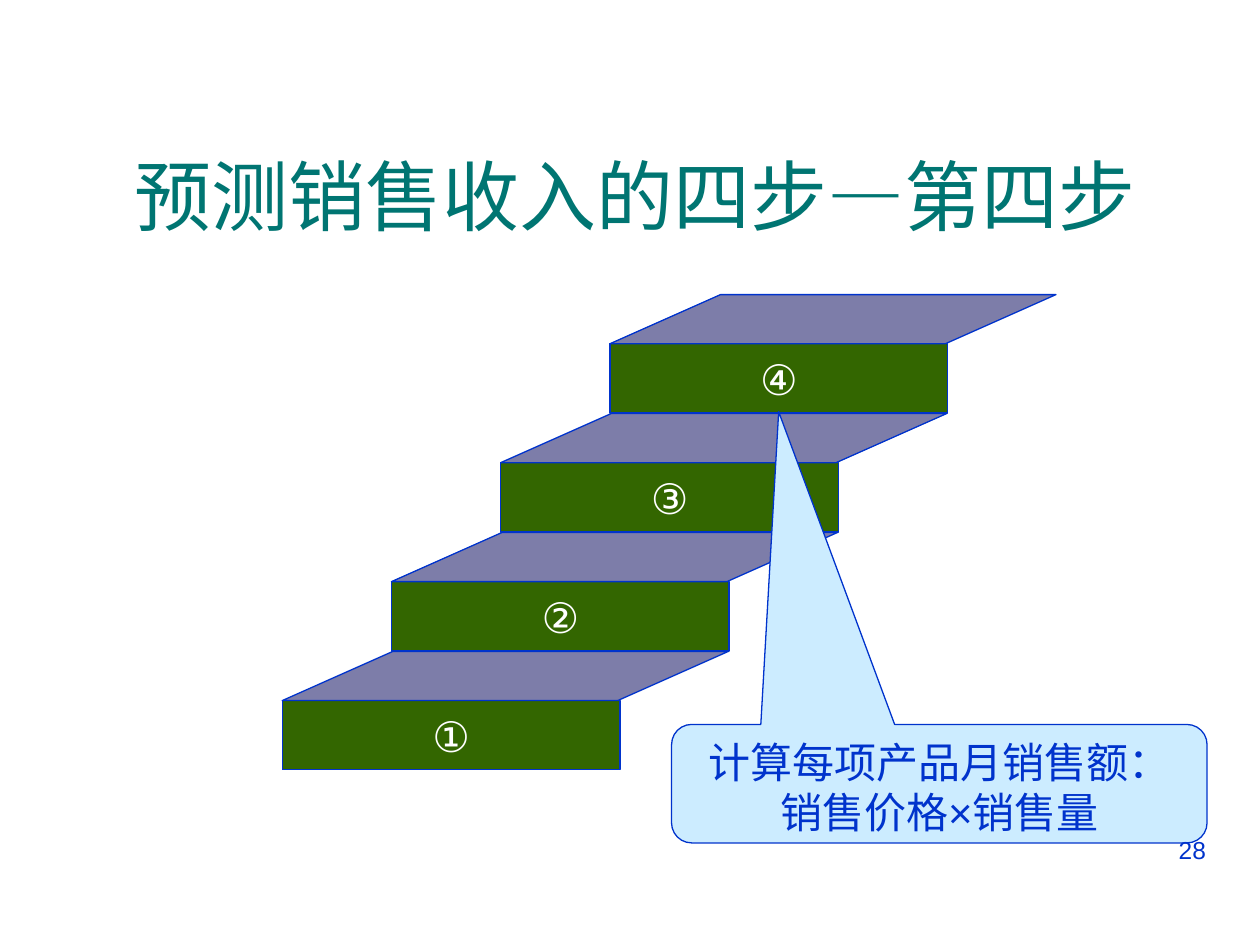
from pptx import Presentation
from pptx.dml.color import RGBColor
from pptx.enum.shapes import MSO_SHAPE
from pptx.enum.text import MSO_ANCHOR, PP_ALIGN
from pptx.util import Inches, Pt

TEAL = RGBColor(0x00, 0x75, 0x72)
BLUE = RGBColor(0x00, 0x33, 0xCC)
GREEN = RGBColor(0x33, 0x66, 0x00)
PURPLE = RGBColor(0x7D, 0x7D, 0xA9)
PALE_BLUE = RGBColor(0xCC, 0xEC, 0xFF)
WHITE = RGBColor(0xFF, 0xFF, 0xFF)

STEP_LABELS = ["①", "②", "③", "④"]
FIRST_LEFT, FIRST_TOP = 2.24, 5.56
STEP_RIGHT, STEP_UP = 0.867, 0.944
RISER_WIDTH, RISER_HEIGHT = 2.68, 0.55
TREAD_WIDTH, TREAD_HEIGHT = 3.54, 0.39


def write_lines(holder, lines, size, color, align=PP_ALIGN.CENTER,
                anchor=MSO_ANCHOR.TOP, wrap=True):
    frame = holder.text_frame
    frame_format = {"word_wrap": wrap, "vertical_anchor": anchor}
    for name, value in frame_format.items():
        setattr(frame, name, value)
    frame.text = "\n".join(lines)
    for paragraph in frame.paragraphs:
        paragraph.alignment = align
        for run in paragraph.runs:
            run.font.color.rgb = color
            for name, value in {"name": "Arial", "size": Pt(size)}.items():
                setattr(run.font, name, value)


def add_label(slide, box, text, size, color, **layout):
    label = slide.shapes.add_textbox(*map(Inches, box))
    write_lines(label, [text], size, color, **layout)


def add_outlined(slide, preset, box, fill, adjustments=()):
    outlined = slide.shapes.add_shape(preset, *map(Inches, box))
    outlined.shadow.inherit = False
    outlined.fill.solid()
    outlined.fill.fore_color.rgb = fill
    outlined.line.color.rgb = BLUE
    outlined.line.width = Pt(0.75)
    for index, value in enumerate(adjustments):
        outlined.adjustments[index] = value
    return outlined


def add_step(slide, level, label):
    left = FIRST_LEFT + level * STEP_RIGHT
    top = FIRST_TOP - level * STEP_UP
    riser = add_outlined(slide, MSO_SHAPE.RECTANGLE,
                         (left, top, RISER_WIDTH, RISER_HEIGHT), GREEN)
    write_lines(riser, [label], 24, WHITE, anchor=MSO_ANCHOR.MIDDLE, wrap=False)
    add_outlined(slide, MSO_SHAPE.PARALLELOGRAM,
                 (left, top - TREAD_HEIGHT, TREAD_WIDTH, TREAD_HEIGHT),
                 PURPLE, [2.25])


def add_callout(slide, box, lines):
    callout = add_outlined(slide, MSO_SHAPE.ROUNDED_RECTANGULAR_CALLOUT, box,
                           PALE_BLUE, [-0.3, -3.14, 0.17])
    write_lines(callout, lines, 24, BLUE)


def main():
    deck = Presentation()
    deck.slide_width, deck.slide_height = Inches(10), Inches(7.5)
    slide = deck.slides.add_slide(deck.slide_layouts[6])
    add_label(slide, (0.67, 1.17, 8.75, 0.75), "预测销售收入的四步—第四步",
              44, TEAL, anchor=MSO_ANCHOR.MIDDLE)
    for level, label in enumerate(STEP_LABELS):
        add_step(slide, level, label)
    add_callout(slide, (5.33, 5.75, 4.25, 0.94),
                ["计算每项产品月销售额：", "销售价格×销售量"])
    add_label(slide, (7.17, 6.58, 2.5, 0.52), "28", 14, BLUE,
              align=PP_ALIGN.RIGHT)
    deck.save("out.pptx")


if __name__ == "__main__":
    main()
